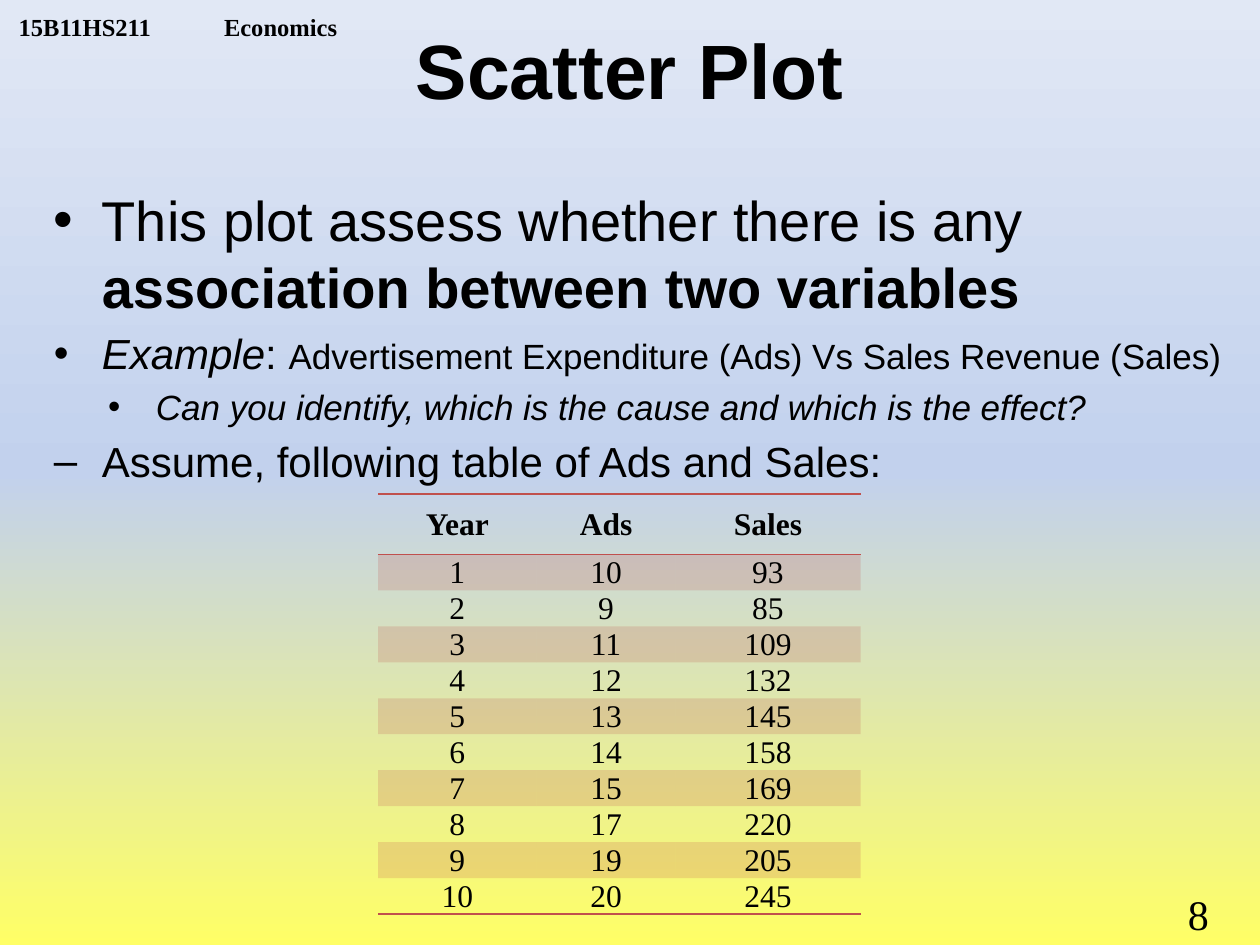
import copy

import pptx
from lxml import etree
from pptx.dml.color import RGBColor
from pptx.enum.text import MSO_ANCHOR, PP_ALIGN
from pptx.oxml.ns import qn
from pptx.util import Inches, Pt

BLACK = RGBColor(0x00, 0x00, 0x00)
RED = RGBColor(0xC0, 0x50, 0x4D)
BACKGROUND_STOPS = [
    (0, RGBColor(0xFF, 0xFF, 0x66)),
    (0.5, RGBColor(0xC2, 0xD1, 0xED)),
    (1, RGBColor(0xE1, 0xE8, 0xF5)),
]
SANS, SERIF = "Arial", "Times New Roman"

COURSE = "15B11HS211\tEconomics"
TITLE = "Scatter Plot"
SLIDE_NUMBER = "8"

# Each paragraph: bullet, left margin, space before, runs of (text, size, bold, italic)
BODY = [
    ("•", 0.38, 0, [
        ("This plot assess whether there is any ", 32, False, False),
        ("association between two variables", 32, True, False)]),
    ("•", 0.38, 4.8, [
        ("Example", 24, False, True),
        (": ", 24, False, False),
        ("Advertisement Expenditure (Ads) Vs Sales Revenue (Sales)", 20, False, False)]),
    ("•", 0.81, 4, [
        ("Can you identify, which is the cause and which is the effect?", 20, False, True)]),
    ("–", 0.38, 4.8, [
        ("Assume, following table of Ads and Sales:", 24, False, False)]),
]
HANGING = 0.38

HEADINGS = ("Year", "Ads", "Sales")
ADS = (10, 9, 11, 12, 13, 14, 15, 17, 19, 20)
SALES = (93, 85, 109, 132, 145, 158, 169, 220, 205, 245)
COLUMN_WIDTHS = (1.26, 1.1, 1.47)
HEADING_HEIGHT, ROW_HEIGHT = 0.48, 0.27
ROW_LINE_SPACING = 19.8
NO_STYLE = "{2D5ABB26-0587-4C30-8999-92F81FD0307C}"


def add_run(paragraph, text, size, font_name, bold=False, italic=False):
    run = paragraph.add_run()
    run.text = text
    run.font.name = font_name
    run.font.size = Pt(size)
    run.font.bold = bold
    run.font.italic = italic
    run.font.color.rgb = BLACK


def add_text_frame(slide, left, top, width, height):
    box = slide.shapes.add_textbox(Inches(left), Inches(top), Inches(width), Inches(height))
    box.text_frame.word_wrap = True
    return box.text_frame


def paint_background(slide):
    fill = slide.background.fill
    fill.gradient()
    fill.gradient_angle = 90
    stop_list = next(slide.element.iter(qn("a:gsLst")))
    stop_list.insert(1, copy.deepcopy(stop_list[0]))
    for stop, (position, color) in zip(fill.gradient_stops, BACKGROUND_STOPS):
        stop.position = position
        stop.color.rgb = color


def add_course_line(slide):
    frame = add_text_frame(slide, 0.05, 0, 3.2, 0.33)
    frame.margin_top = frame.margin_bottom = 0
    frame.vertical_anchor = MSO_ANCHOR.BOTTOM
    paragraph = frame.paragraphs[0]
    tabs = etree.SubElement(paragraph._p.get_or_add_pPr(), qn("a:tabLst"))
    etree.SubElement(tabs, qn("a:tab"), pos=str(Inches(1.63)), algn="l")
    add_run(paragraph, COURSE, 14, SERIF, bold=True)


def add_title(slide):
    title = slide.shapes.title
    title.left, title.top = Inches(0.5), Inches(-0.08)
    title.width, title.height = Inches(9), Inches(1.25)
    title.text_frame.vertical_anchor = MSO_ANCHOR.MIDDLE
    paragraph = title.text_frame.paragraphs[0]
    paragraph.alignment = PP_ALIGN.CENTER
    add_run(paragraph, TITLE, 44, SANS, bold=True)


def add_body(slide):
    frame = add_text_frame(slide, 0.33, 1.42, 9.83, 4.87)
    for index, (bullet, margin, space, runs) in enumerate(BODY):
        paragraph = frame.add_paragraph() if index else frame.paragraphs[0]
        properties = paragraph._p.get_or_add_pPr()
        properties.set("marL", str(Inches(margin)))
        properties.set("indent", str(-Inches(HANGING)))
        etree.SubElement(properties, qn("a:buFont"), typeface=SANS)
        etree.SubElement(properties, qn("a:buChar"), char=bullet)
        paragraph.space_before = Pt(space)
        for text, size, bold, italic in runs:
            add_run(paragraph, text, size, SANS, bold, italic)


def set_borders(cell, sides):
    """Draw red 1 pt lines on the given sides; they must come before the fill."""
    properties = cell._tc.get_or_add_tcPr()
    for position, side in enumerate(sides):
        line = etree.Element(qn(f"a:ln{side}"), w=str(Pt(1)))
        solid = etree.SubElement(line, qn("a:solidFill"))
        etree.SubElement(solid, qn("a:srgbClr"), val=str(RED))
        properties.insert(position, line)


def tint(cell, percent):
    cell.fill.solid()
    cell.fill.fore_color.rgb = RED
    color = next(cell._tc.tcPr.iter(qn("a:srgbClr")))
    etree.SubElement(color, qn("a:alpha"), val=str(percent * 1000))


def add_data_table(slide):
    rows = [HEADINGS, *zip(range(1, len(ADS) + 1), ADS, SALES)]
    last = len(rows) - 1
    table = slide.shapes.add_table(
        len(rows), len(HEADINGS), Inches(3), Inches(3.92),
        Inches(sum(COLUMN_WIDTHS)), Inches(HEADING_HEIGHT + last * ROW_HEIGHT)).table
    next(table._tbl.iter(qn("a:tableStyleId"))).text = NO_STYLE
    for column, width in zip(table.columns, COLUMN_WIDTHS):
        column.width = Inches(width)
    for row_index, values in enumerate(rows):
        table.rows[row_index].height = Inches(ROW_HEIGHT if row_index else HEADING_HEIGHT)
        for column_index, value in enumerate(values):
            cell = table.cell(row_index, column_index)
            cell.margin_left = cell.margin_right = cell.margin_top = Inches(0.01)
            cell.margin_bottom = 0
            cell.vertical_anchor = MSO_ANCHOR.MIDDLE
            paragraph = cell.text_frame.paragraphs[0]
            paragraph.alignment = PP_ALIGN.CENTER
            if row_index:
                paragraph.line_spacing = Pt(ROW_LINE_SPACING)
            add_run(paragraph, str(value), 18, SERIF, bold=row_index == 0)
            if row_index % 2:
                tint(cell, 20)
            else:
                cell.fill.background()
            set_borders(cell, {0: "TB", last: "B"}.get(row_index, ""))


def main():
    presentation = pptx.Presentation()
    presentation.slide_width, presentation.slide_height = Inches(10), Inches(7.5)
    slide = presentation.slides.add_slide(presentation.slide_layouts[5])
    paint_background(slide)
    add_course_line(slide)
    number_frame = add_text_frame(slide, 9.33, 7, 0.67, 0.5)
    add_run(number_frame.paragraphs[0], SLIDE_NUMBER, 24, SERIF)
    add_title(slide)
    add_body(slide)
    add_data_table(slide)
    presentation.save("out.pptx")


if __name__ == "__main__":
    main()
